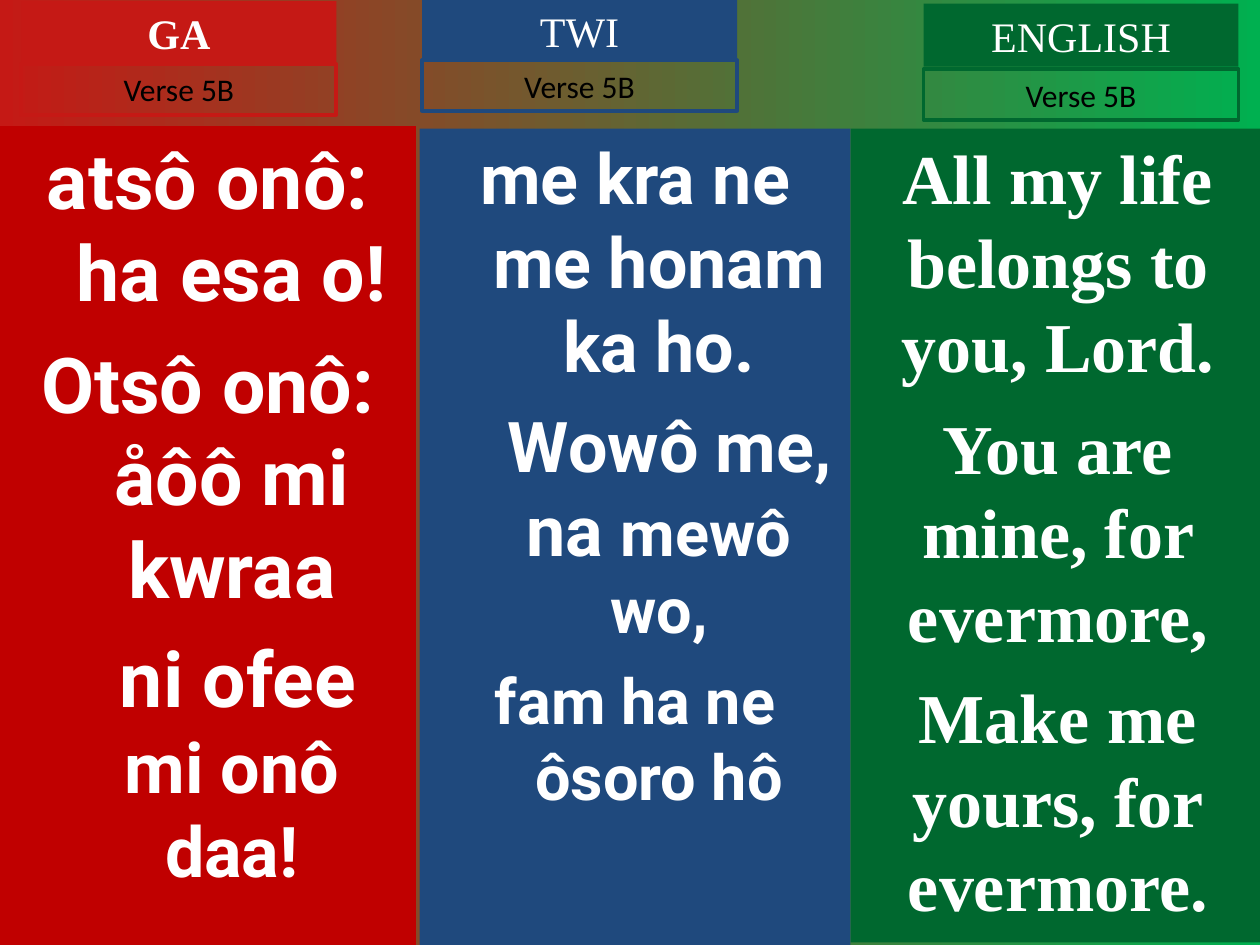
from dataclasses import dataclass

from lxml.etree import SubElement
from pptx import Presentation
from pptx.dml.color import RGBColor as Color
from pptx.enum.shapes import MSO_SHAPE as Preset
from pptx.enum.text import MSO_ANCHOR as Anchor, MSO_AUTO_SIZE as AutoSize, PP_ALIGN as Align
from pptx.oxml.ns import qn
from pptx.util import Inches, Pt


@dataclass(frozen=True)
class Theme:
    ga: str = "C51915"
    ga_panel: str = "C00000"
    twi: str = "1F497D"
    english: str = "00682F"
    backdrop_end: str = "00B050"
    light: str = "FFFFFF"
    dark: str = "000000"
    sans: str = "Roboto"
    serif: str = "Times New Roman"
    label_font: str = "Calibri"
    huge: int = 44
    large: int = 40
    medium: int = 36
    heading: int = 24
    label: int = 18
    border: float = 2.25


THEME = Theme()
GRID_COLUMNS, GRID_ROWS = 100, 75
COMPARISON_LAYOUT = 4
HANGING = (0.38, -0.38)
FLUSH = (0, 0)


class HymnSlide:
    def __init__(self, presentation, theme):
        self.theme = theme
        self.cell_width = presentation.slide_width / GRID_COLUMNS
        self.cell_height = presentation.slide_height / GRID_ROWS
        self.slide = presentation.slides.add_slide(presentation.slide_layouts[COMPARISON_LAYOUT])
        self.free = {item.placeholder_format.idx: item for item in self.slide.placeholders}

    def backdrop(self):
        fill = self.slide.background.fill
        fill.gradient()
        fill.gradient_angle = 0
        ends = (self.theme.ga, self.theme.backdrop_end)
        for stop, color, position in zip(fill.gradient_stops, ends, (0, 1)):
            stop.color.rgb = Color.from_string(color)
            stop.position = position

    def box(self, place, anchor, fill=None, border=None, placeholder=None):
        """Set up a placeholder, or a new rectangle, at (column, row, columns, rows)."""
        left, top, width, height = place
        shape = self.free.pop(placeholder, None)
        if shape is None:
            shape = self.slide.shapes.add_shape(Preset.RECTANGLE, 0, 0, 0, 0)
        shape.shadow.inherit = False
        bounds = {
            "left": int(left * self.cell_width),
            "top": int(top * self.cell_height),
            "width": int(width * self.cell_width),
            "height": int(height * self.cell_height),
        }
        for name, value in bounds.items():
            setattr(shape, name, value)
        for paint, color in ((shape.fill, fill), (shape.line.fill, border)):
            if color:
                paint.solid()
                paint.fore_color.rgb = Color.from_string(color)
            else:
                paint.background()
        if border:
            shape.line.width = Pt(self.theme.border)
        frame_format = {"word_wrap": True, "auto_size": AutoSize.NONE, "vertical_anchor": anchor}
        for name, value in frame_format.items():
            setattr(shape.text_frame, name, value)
        return shape.text_frame

    def fill_paragraph(self, paragraph, runs, font, color, bold=False, indent=FLUSH, before=0):
        """Fill a centred paragraph with (text, size) runs."""
        properties = paragraph._p.get_or_add_pPr()
        for name, inches in zip(("marL", "indent"), indent):
            properties.set(name, str(Inches(inches)))
        SubElement(properties, qn("a:buNone"))
        paragraph.alignment = Align.CENTER
        paragraph.space_before = Pt(before)
        for text, size in runs:
            run = paragraph.add_run()
            run.text = text
            for name, value in {"name": font, "size": Pt(size), "bold": bold}.items():
                setattr(run.font, name, value)
            run.font.color.rgb = Color.from_string(color)

    def heading(self, text, place, color, bold, placeholder):
        frame = self.box(place, Anchor.MIDDLE, fill=color, placeholder=placeholder)
        runs = [(text, self.theme.heading)]
        self.fill_paragraph(frame.paragraphs[0], runs, self.theme.serif, self.theme.light, bold)

    def verse_label(self, text, place, color):
        frame = self.box(place, Anchor.MIDDLE, border=color)
        runs = [(text, self.theme.label)]
        self.fill_paragraph(frame.paragraphs[0], runs, self.theme.label_font, self.theme.dark)

    def verse(self, lines, place, color, font, placeholder):
        """Add lines given as (runs, indent, space before)."""
        frame = self.box(place, Anchor.TOP, fill=color, placeholder=placeholder)
        for number, (runs, indent, before) in enumerate(lines):
            paragraph = frame.add_paragraph() if number else frame.paragraphs[0]
            self.fill_paragraph(paragraph, runs, font, self.theme.light, True, indent, before)

    def remove_empty_placeholders(self):
        for shape in self.free.values():
            shape._element.getparent().remove(shape._element)


GA_LINES = [
    ([("atsô onô: ha esa o!", THEME.huge)], HANGING, 0),
    ([("Otsô onô: åôô mi kwraa", THEME.huge)], HANGING, 11),
    ([("ni ofee ", THEME.huge), ("mi onô daa!", THEME.large)], (0.38, 0.1), 10),
]
TWI_LINES = [
    ([("me kra ne me honam ka ho.", THEME.large)], HANGING, 0),
    ([("Wowô me, na ", THEME.large), ("mewô wo,", THEME.medium)], (0.38, 0.17), 9),
    ([("fam ha ne ôsoro hô", THEME.medium)], HANGING, 9),
]
ENGLISH_LINES = [
    ([("All my life belongs to you, Lord.", THEME.large)], FLUSH, 0),
    ([("You are mine, for evermore,", THEME.large)], FLUSH, 10),
    ([("Make me yours, for evermore.", THEME.large)], FLUSH, 10),
]

LANGUAGES = [
    dict(name="GA", color=THEME.ga, bold=True, left=1.7, top=0.1, label_top=5.1,
         title=0, body=2, panel=(0, 10, 33, 65), panel_color=THEME.ga_panel,
         font=THEME.sans, lines=GA_LINES),
    dict(name="TWI", color=THEME.twi, bold=False, left=33.5, top=-0.1, label_top=4.8,
         title=None, body=4, panel=(33.3, 10.2, 34.2, 64.8), panel_color=THEME.twi,
         font=THEME.sans, lines=TWI_LINES),
    dict(name="ENGLISH", color=THEME.english, bold=False, left=73.3, top=0.3, label_top=5.5,
         title=None, body=1, panel=(67.5, 10.2, 32.9, 64.6), panel_color=THEME.english,
         font=THEME.serif, lines=ENGLISH_LINES),
]


def main():
    presentation = Presentation()
    presentation.slide_width, presentation.slide_height = Inches(10), Inches(7.5)
    hymn = HymnSlide(presentation, THEME)
    hymn.backdrop()
    for item in LANGUAGES:
        color, left = item["color"], item["left"]
        hymn.verse(item["lines"], item["panel"], item["panel_color"], item["font"], item["body"])
        hymn.heading(item["name"], (left, item["top"], 25, 5), color, item["bold"], item["title"])
        hymn.verse_label("Verse 5B", (left, item["label_top"], 25, 4), color)
    hymn.remove_empty_placeholders()
    presentation.save("out.pptx")


if __name__ == "__main__":
    main()
